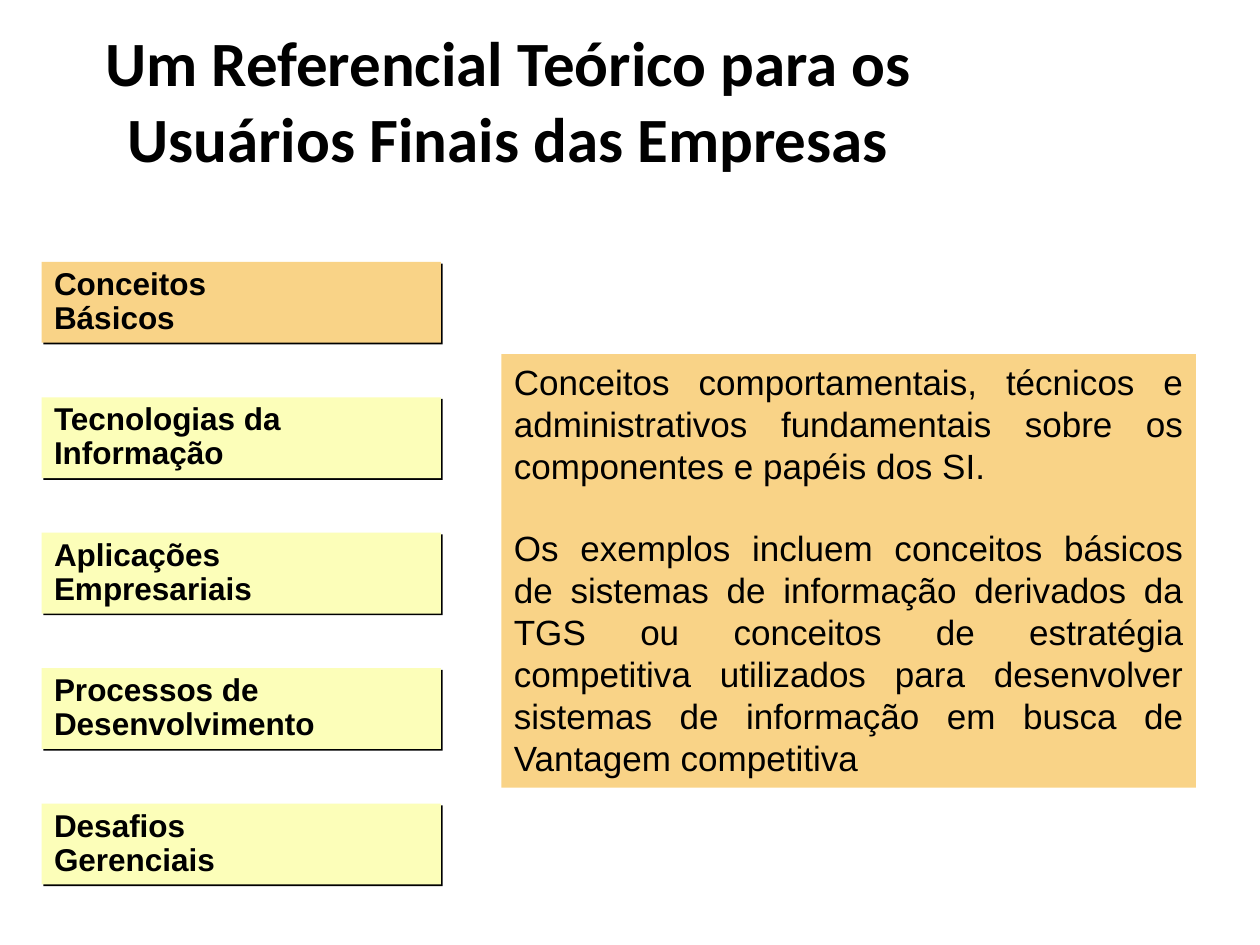
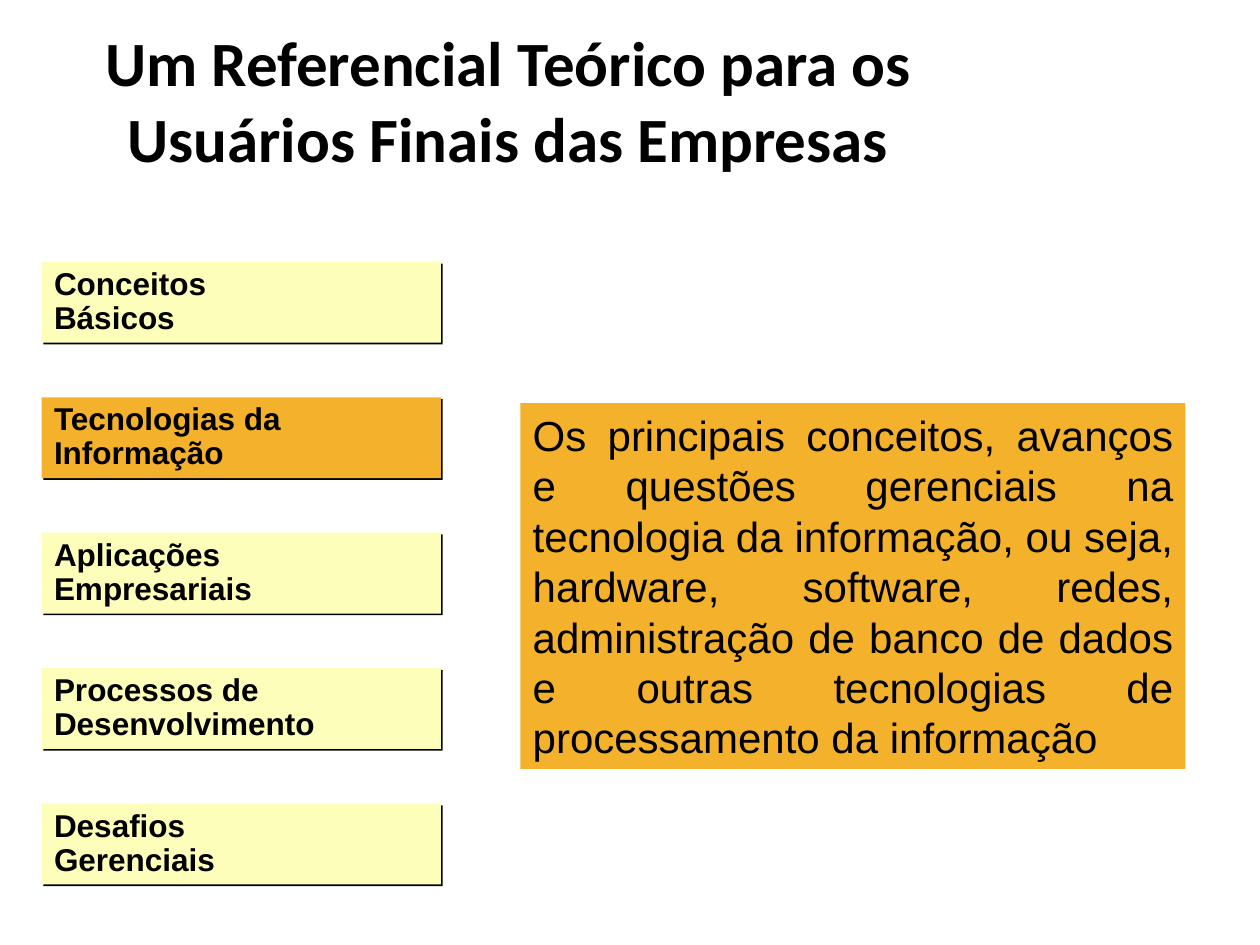
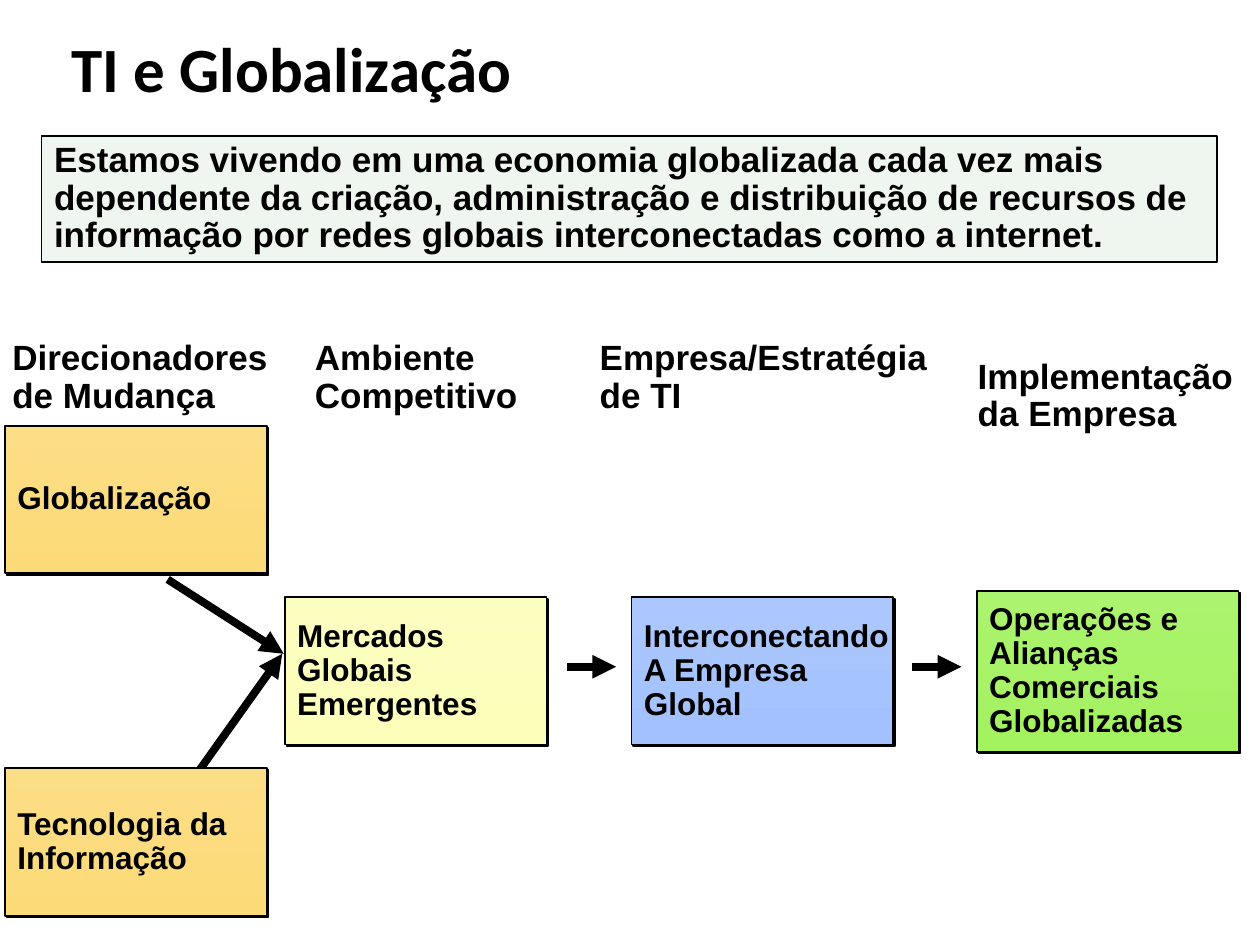
from lxml.etree import SubElement as Sub
from pptx import Presentation
from pptx.dml.color import RGBColor as RGB
from pptx.enum.shapes import MSO_CONNECTOR as Link, MSO_SHAPE as Kind
from pptx.enum.text import MSO_ANCHOR as Anchor, PP_ALIGN as Align
from pptx.oxml.ns import qn
from pptx.util import Cm, Pt

HUE = {
    "ink": "000000", "tab": "FCFEB9", "peach": "F9D387", "amber": "F4B12C",
    "mist": "EFF5EF",
    "gold": ("FCDE86", "FCDA78"), "lemon": ("FCFEC0", "FCFEB9"),
    "sky": ("ABC7FE", "A2C1FE"), "lime": ("ACF36F", "A3F25F"),
}
TITLE = {"name": "Calibri", "size": Pt(36), "bold": True}
LABEL = {"name": "Arial", "size": Pt(18), "bold": True}
HEAD = {"name": "Arial", "size": Pt(20), "bold": True}
SPACED = {"line_spacing": 0.9, "alignment": Align.LEFT}
CENTRED = {"alignment": Align.CENTER}
INK = RGB.from_string(HUE["ink"])


def block(slide, at, lines, font, para=SPACED, fill=None, edge=False,
          drop=False, anchor=Anchor.TOP, right=0):
    """Add a text block; a pair of fill colours gives a vertical gradient."""
    box = [Cm(n) for n in at]
    if fill:
        shape = slide.shapes.add_shape(Kind.RECTANGLE, *box)
        shape.shadow.inherit = False
        tint = HUE[fill]
        if isinstance(tint, tuple):
            shape.fill.gradient()
            shape.fill.gradient_angle = 270
            for stop, code in zip(shape.fill.gradient_stops, tint):
                stop.color.rgb = RGB.from_string(code)
        else:
            shape.fill.solid()
            shape.fill.fore_color.rgb = RGB.from_string(tint)
        if edge:
            shape.line.color.rgb = INK
            shape.line.width = Pt(1)
        else:
            shape.line.fill.background()
    else:
        shape = slide.shapes.add_textbox(*box)
    if drop:
        fx = shape._element.spPr.find(qn("a:effectLst"))
        cast = Sub(fx, qn("a:outerShdw"), dist=str(Pt(1.4)),
                   dir=str(45 * 60000), algn="ctr", rotWithShape="0")
        Sub(cast, qn("a:srgbClr"), val=HUE["ink"])

    frame = shape.text_frame
    frame.word_wrap = True
    frame.vertical_anchor = anchor
    frame.margin_right = Cm(right)
    for i, line in enumerate(lines):
        p = frame.paragraphs[0] if i == 0 else frame.add_paragraph()
        p.text = line
        for key, val in para.items():
            if i or key != "space_before":
                setattr(p, key, val)
        for key, val in font.items():
            setattr(p.font, key, val)
        p.font.color.rgb = INK


def arrow(slide, x1, y1, x2, y2):
    line = slide.shapes.add_connector(
        Link.STRAIGHT, Cm(x1), Cm(y1), Cm(x2), Cm(y2))
    line.line.color.rgb = INK
    line.line.width = Pt(4.5)
    props = line._element.spPr
    Sub(props.find(qn("a:ln")), qn("a:tailEnd"), type="triangle")
    Sub(props, qn("a:effectLst"))


deck = Presentation()
deck.slide_width, deck.slide_height = Cm(25.4), Cm(19.05)
blank = deck.slide_layouts[6]

# Framework slides: one tab is lit and explained on the right
TABS = [
    ["Conceitos", "Básicos"],
    ["Tecnologias da", "Informação"],
    ["Aplicações", "Empresariais"],
    ["Processos de", "Desenvolvimento"],
    ["Desafios", "Gerenciais"],
]
topics = [
    ("peach", 20, (10.11, 7.14, 14, 8.74), [
        "Conceitos comportamentais, técnicos e administrativos fundamentais "
        "sobre os componentes e papéis dos SI.",
        "Os exemplos incluem conceitos básicos de sistemas de informação "
        "derivados da TGS ou conceitos de estratégia competitiva utilizados "
        "para desenvolver sistemas de informação em busca de Vantagem "
        "competitiva"]),
    ("amber", 24, (10.49, 8.13, 13.41, 7.37), [
        "Os principais conceitos, avanços e questões gerenciais na "
        "tecnologia da informação, ou seja, hardware, software, redes, "
        "administração de banco de dados e outras tecnologias de "
        "processamento da informação"]),
]
for lit, (tint, size, at, text) in enumerate(topics):
    slide = deck.slides.add_slide(blank)
    block(slide, (0.56, 0.41, 19.66, 3.18),
          ["Um Referencial Teórico para os \nUsuários Finais das Empresas "],
          TITLE, CENTRED, anchor=Anchor.MIDDLE, right=0.25)
    for i, lines in enumerate(TABS):
        block(slide, (0.84, 5.28 + 2.73 * i, 8.05, 1.63), lines, LABEL,
              fill=tint if i == lit else "tab", drop=True)
    block(slide, at, text, {"name": "Arial", "size": Pt(size)},
          {"alignment": Align.JUSTIFY, "space_before": Pt(23)},
          fill=tint, right=0.25)

# Globalisation slide: drivers lead through three stages
slide = deck.slides.add_slide(blank)
block(slide, (0.56, 0.53, 10.64, 1.65), ["TI e Globalização"], TITLE, CENTRED,
      anchor=Anchor.MIDDLE, right=0.25)
block(slide, (0.84, 2.74, 23.7, 2.54), [
    "Estamos vivendo em uma economia globalizada cada vez mais",
    "dependente da criação, administração e distribuição de recursos de",
    "informação por redes globais interconectadas como a internet.",
], HEAD, fill="mist", edge=True)

heads = [
    (0, 6.73, 5.64, ["Direcionadores", "de Mudança"]),
    (6.1, 6.73, 4.6, ["Ambiente", "Competitivo"]),
    (11.84, 6.73, 7.11, ["Empresa/Estratégia", "de TI"]),
    (19.46, 7.11, 5.64, ["Implementação", "da Empresa"]),
]
for x, y, wide, lines in heads:
    block(slide, (x, y, wide, 1.78), lines, HEAD)

for ends in [(4.01, 15.54, 5.69, 13.18), (3.38, 11.68, 5.72, 13.18),
             (11.43, 13.44, 12.42, 13.44), (18.39, 13.44, 19.38, 13.44)]:
    arrow(slide, *ends)

cards = [
    (0.1, 8.59, 2.97, "gold", ["Globalização"]),
    (0.1, 15.49, 2.97, "gold", ["Tecnologia da", "Informação"]),
    (5.74, 12.04, 2.97, "lemon", ["Mercados", "Globais", "Emergentes"]),
    (12.73, 12.04, 2.97, "sky", ["Interconectando", "A Empresa", "Global"]),
    (19.69, 11.91, 3.25, "lime",
     ["Operações e", "Alianças", "Comerciais", "Globalizadas"]),
]
for x, y, high, tint, lines in cards:
    block(slide, (x, y, 5.28, high), lines, LABEL, fill=tint, edge=True,
          drop=True, anchor=Anchor.MIDDLE)

deck.save("out.pptx")
